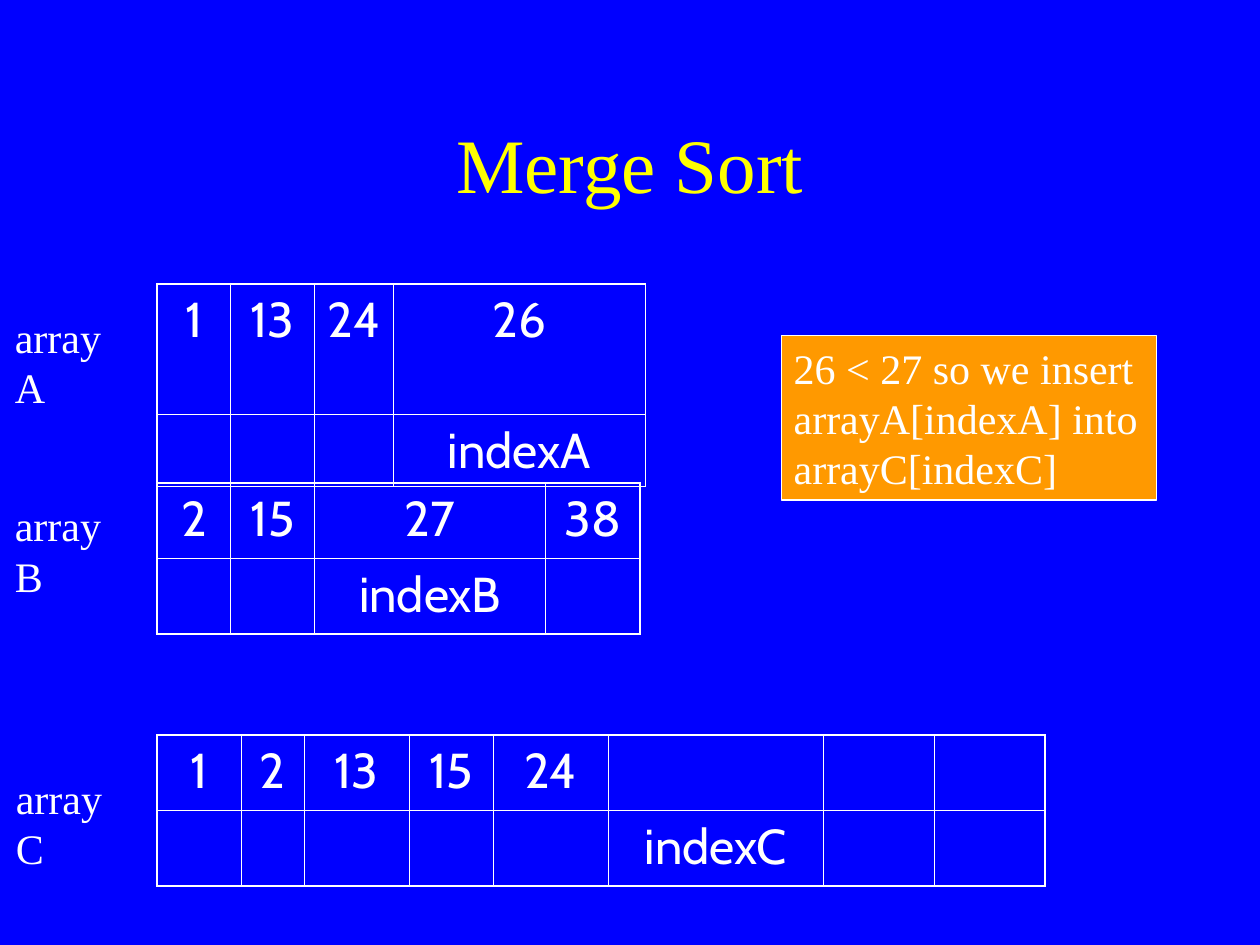
import pptx
import pptx.util
import pptx.dml.color
import pptx.enum.shapes
import pptx.enum.text
import pptx.oxml
import pptx.oxml.ns

Cm, Pt = pptx.util.Cm, pptx.util.Pt
RGB = pptx.dml.color.RGBColor
ALIGN = pptx.enum.text.PP_ALIGN
ANCHOR = pptx.enum.text.MSO_ANCHOR

BLUE = RGB(0x00, 0x00, 0xFF)
YELLOW = RGB(0xFF, 0xFF, 0x00)
WHITE = RGB(0xFF, 0xFF, 0xFF)
ORANGE = RGB(0xFF, 0x99, 0x00)
SERIF, SANS = "Times New Roman", "Cabin"
THIN, THICK = 0.45, 1.08

# Content: lengths in centimetres
TITLE = "Merge Sort"
NOTE = "26 < 27 so we insert\varrayA[indexA] into\varrayC[indexC]"
LEFT = 3.17
ARRAYS = [
    dict(name="arrayA", label=(0.05, 6.15), top=5.72,
         cols=[1.48, 1.69, 1.59, 5.08], rows=[2.64, 1.45],
         cells=[["1", "13", "24", "26"], ["", "", "", "indexA"]]),
    dict(name="arrayB", label=(0.05, 9.95), top=9.74,
         cols=[1.48, 1.69, 4.66, 1.9], rows=[1.52, 1.52],
         cells=[["2", "15", "27", "38"], ["", "", "indexB", ""]]),
    dict(name="arrayC", label=(0.07, 15.45), top=14.82,
         cols=[1.69, 1.27, 2.12, 1.69, 2.33, 4.32, 2.24, 2.24],
         rows=[1.52, 1.52],
         cells=[["1", "2", "13", "15", "24", "", "", ""],
                ["", "", "", "", "", "indexC", "", ""]]),
]


def write(frame, text, size=24, font=SERIF, color=WHITE,
          align=ALIGN.LEFT, pitch=None):
    para = frame.paragraphs[0]
    para.text = text
    para.alignment = align
    if pitch:
        para.line_spacing = Pt(pitch)
    para.font.size = Pt(size)
    para.font.name = font
    para.font.color.rgb = color


def edge(cell, side, width):
    line = pptx.oxml.parse_xml(
        f'<a:{side} {pptx.oxml.ns.nsdecls("a")} w="{Pt(width)}">'
        f'<a:solidFill><a:srgbClr val="{WHITE}"/></a:solidFill></a:{side}>')
    cell.fill.background()
    props = cell._tc.get_or_add_tcPr()
    # Borders come before the fill, in the order they are added
    props.insert(len(props) - 1, line)


def grid(slide, item):
    cols, rows = item["cols"], item["rows"]
    table = slide.shapes.add_table(
        len(rows), len(cols), Cm(LEFT), Cm(item["top"]),
        Cm(sum(cols)), Cm(sum(rows))).table
    table.first_row = table.horz_banding = False
    for col, width in zip(table.columns, cols):
        col.width = Cm(width)
    for row, height in zip(table.rows, rows):
        row.height = Cm(height)
    for r, line in enumerate(item["cells"]):
        for c, text in enumerate(line):
            cell = table.cell(r, c)
            write(cell.text_frame, text, size=28, font=SANS,
                  align=ALIGN.CENTER)
            outer = {"lnL": c == 0, "lnR": c == len(cols) - 1,
                     "lnT": r == 0, "lnB": r == len(rows) - 1}
            for side, rim in outer.items():
                edge(cell, side, THICK if rim else THIN)


def main():
    deck = pptx.Presentation()
    deck.slide_width, deck.slide_height = Cm(25.4), Cm(19.05)
    slide = deck.slides.add_slide(deck.slide_layouts[6])
    slide.background.fill.solid()
    slide.background.fill.fore_color.rgb = BLUE

    # Title
    box = slide.shapes.add_textbox(Cm(1.9), Cm(1.7), Cm(21.6), Cm(3.18))
    box.text_frame.word_wrap = True
    box.text_frame.vertical_anchor = ANCHOR.MIDDLE
    write(box.text_frame, TITLE, size=44, color=YELLOW, align=ALIGN.CENTER)

    # Arrays with their labels
    for item in ARRAYS:
        grid(slide, item)
        x, y = item["label"]
        box = slide.shapes.add_textbox(Cm(x), Cm(y), Cm(2.8), Cm(1.27))
        box.text_frame.word_wrap = False
        write(box.text_frame, item["name"], pitch=28.8)

    # Note
    note = slide.shapes.add_shape(
        pptx.enum.shapes.MSO_SHAPE.RECTANGLE,
        Cm(15.75), Cm(6.77), Cm(7.56), Cm(3.31))
    note.shadow.inherit = False
    note.fill.solid()
    note.fill.fore_color.rgb = ORANGE
    note.line.color.rgb = WHITE
    note.line.width = Pt(0.75)
    note.text_frame.word_wrap = True
    note.text_frame.vertical_anchor = ANCHOR.TOP
    write(note.text_frame, NOTE, pitch=28.8)

    deck.save("out.pptx")


if __name__ == "__main__":
    main()
